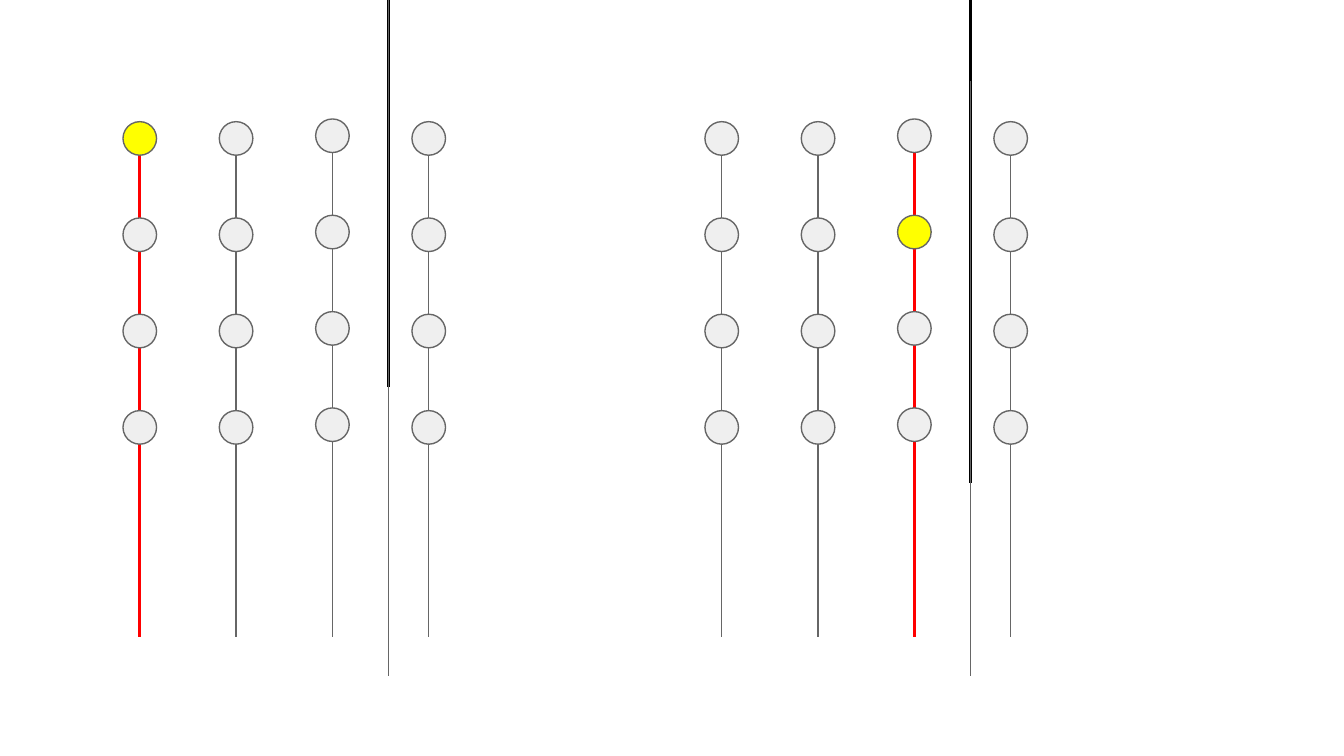
from dataclasses import dataclass

from pptx import Presentation
from pptx.dml.color import RGBColor
from pptx.enum.shapes import MSO_CONNECTOR, MSO_SHAPE
from pptx.oxml.ns import qn
from pptx.shapes.shapetree import GroupShapes
from pptx.util import Inches, Pt
from lxml.etree import SubElement

SLIDE_WIDTH = 10
SLIDE_HEIGHT = SLIDE_WIDTH * 9 / 16

GRAY, RED, BLACK = "666666", "FF0000", "000000"
NODE_FILL, ACTIVE_FILL = "EFEFEF", "FFFF00"

COUNT = 4
GAP = 2.15 / (COUNT - 1)
WIRE_LENGTH = 3.71
NODE_SIZE = 0.25
FIRST_NODE_Y = 1.03
RAISED_COLUMN, RAISE = 2, 0.02
ROW_WIRE_OFFSET, ROW_WIRE_TOP = 1.85, -0.83
THIN, THICK = 0.75, 1.5


@dataclass(frozen=True)
class Matrix:
    """A grid of nodes with one active column, row and node."""
    left: float
    active_column: int
    active_row: int


MATRICES = [Matrix(1.04, 0, 0), Matrix(5.37, 2, 1)]


def rgb(color: str) -> RGBColor:
    return RGBColor.from_string(color)


def draw_wire(shapes: GroupShapes, x: float, top: float, color: str, width: float) -> None:
    wire = shapes.add_connector(MSO_CONNECTOR.STRAIGHT, Inches(x), Inches(top),
                                Inches(x), Inches(top + WIRE_LENGTH))
    wire.line.color.rgb = rgb(color)
    wire.line.width = Pt(width)
    SubElement(wire._element.spPr, qn("a:effectLst"))


def draw_node(shapes: GroupShapes, x: float, y: float, fill: str) -> None:
    """Draw a node centred on x, y."""
    node = shapes.add_shape(MSO_SHAPE.OVAL, Inches(x - NODE_SIZE / 2),
                            Inches(y - NODE_SIZE / 2), Inches(NODE_SIZE), Inches(NODE_SIZE))
    node.shadow.inherit = False
    node.fill.solid()
    node.fill.fore_color.rgb = rgb(fill)
    node.line.color.rgb = rgb(GRAY)
    node.line.width = Pt(THIN)


def draw_matrix(shapes: GroupShapes, matrix: Matrix) -> None:
    column_xs = [matrix.left + column * GAP for column in range(COUNT)]

    for column, x in enumerate(column_xs):
        active = column == matrix.active_column
        draw_wire(shapes, x, FIRST_NODE_Y, RED if active else GRAY, THICK if active else THIN)

    for row in range(COUNT):
        active = row == matrix.active_row
        draw_wire(shapes, matrix.left + ROW_WIRE_OFFSET, ROW_WIRE_TOP + row * GAP,
                  BLACK if active else GRAY, THICK if active else THIN)

    for column, x in enumerate(column_xs):
        raised = RAISE if column == RAISED_COLUMN else 0
        for row in range(COUNT):
            active = (column, row) == (matrix.active_column, matrix.active_row)
            draw_node(shapes, x, FIRST_NODE_Y + row * GAP - raised,
                      ACTIVE_FILL if active else NODE_FILL)


def main() -> None:
    presentation = Presentation()
    presentation.slide_width = Inches(SLIDE_WIDTH)
    presentation.slide_height = Inches(SLIDE_HEIGHT)
    slide = presentation.slides.add_slide(presentation.slide_layouts[6])
    for matrix in MATRICES:
        draw_matrix(slide.shapes.add_group_shape().shapes, matrix)
    presentation.save("out.pptx")


if __name__ == "__main__":
    main()
